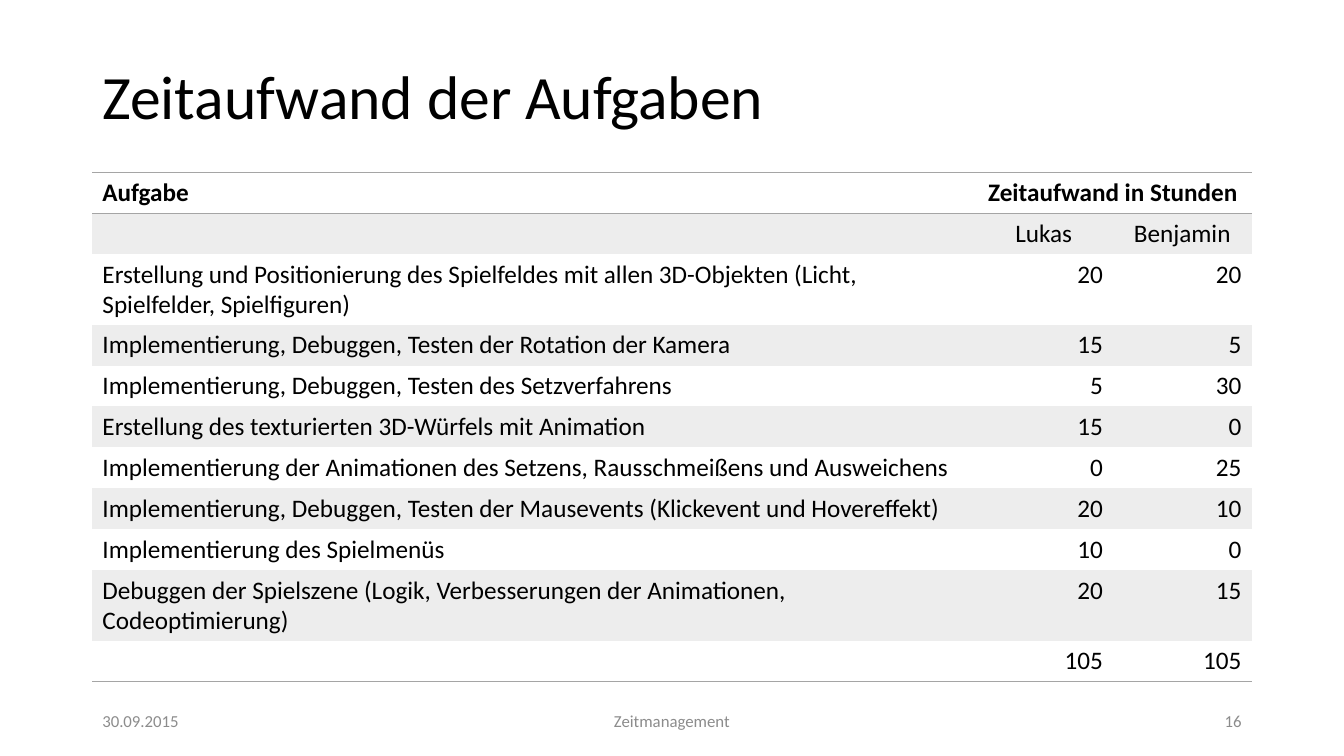
from lxml import etree
from pptx import Presentation
from pptx.dml.color import RGBColor
from pptx.enum.text import MSO_ANCHOR, PP_ALIGN
from pptx.oxml.ns import qn
from pptx.util import Pt

LEFT, CENTER, RIGHT = PP_ALIGN.LEFT, PP_ALIGN.CENTER, PP_ALIGN.RIGHT
MIDDLE = MSO_ANCHOR.MIDDLE

# Content
TITLE = "Zeitaufwand der Aufgaben"
HEADER = ("Aufgabe", "Zeitaufwand in Stunden", "")
PEOPLE = ("", "Lukas", "Benjamin")
TASKS = [
    ("Erstellung und Positionierung des Spielfeldes mit allen 3D-Objekten "
     "(Licht, Spielfelder, Spielfiguren)", 20, 20),
    ("Implementierung, Debuggen, Testen der Rotation der Kamera", 15, 5),
    ("Implementierung, Debuggen, Testen des Setzverfahrens", 5, 30),
    ("Erstellung des texturierten 3D-Würfels mit Animation", 15, 0),
    ("Implementierung der Animationen des Setzens, Rausschmeißens und Ausweichens", 0, 25),
    ("Implementierung, Debuggen, Testen der Mausevents (Klickevent und Hovereffekt)", 20, 10),
    ("Implementierung des Spielmenüs", 10, 0),
    ("Debuggen der Spielszene (Logik, Verbesserungen der Animationen, Codeoptimierung)", 20, 15),
]
TOTALS = ("", 105, 105)
# Footer text, left, width, alignment
FOOTER = [
    ("30.09.2015", 88, 288, LEFT),
    ("Zeitmanagement", 424, 432, CENTER),
    ("16", 904, 288, RIGHT),
]

# Style and layout in px
PX = 9525
SLIDE_W, SLIDE_H = 1280, 720
MARGIN, CONTENT_W = 88, 1104
TITLE_TOP, TITLE_H = 38, 114
TABLE_TOP, ROW_H = 164, 39
COLUMNS = (840, 132, 132)
FOOTER_TOP, FOOTER_H = 667, 38
FONT = "Calibri"
BLACK = RGBColor(0x00, 0x00, 0x00)
RULE = RGBColor(0xA5, 0xA5, 0xA5)
BAND = RGBColor(0xED, 0xED, 0xED)
FOOTER_GRAY = RGBColor(0x8C, 0x8C, 0x8C)
NO_STYLE_NO_GRID = "{2D5ABB26-0587-4C30-8999-92F81FD0307C}"


def write(frame, text, size, color, align, bold=False):
    paragraph = frame.paragraphs[0]
    paragraph.text = str(text)
    paragraph.alignment = align
    font = paragraph.font
    font.name, font.size, font.bold = FONT, Pt(size), bold
    font.color.rgb = color
    return paragraph


def add_text(slide, text, left, top, width, height, size, color, align):
    box = slide.shapes.add_textbox(left * PX, top * PX, width * PX, height * PX)
    frame = box.text_frame
    frame.word_wrap = True
    frame.vertical_anchor = MIDDLE
    return write(frame, text, size, color, align)


def add_rules(cell, sides):
    properties = cell._tc.get_or_add_tcPr()
    for position, side in enumerate(sides):
        line = etree.Element(qn(f"a:{side}"), w=str(Pt(1)))
        fill = etree.SubElement(line, qn("a:solidFill"))
        etree.SubElement(fill, qn("a:srgbClr"), val=str(RULE))
        properties.insert(position, line)


def add_task_table(slide):
    rows = [HEADER, PEOPLE, *TASKS, TOTALS]
    last = len(rows) - 1
    table = slide.shapes.add_table(
        len(rows), len(COLUMNS), MARGIN * PX, TABLE_TOP * PX,
        CONTENT_W * PX, len(rows) * ROW_H * PX).table
    table.first_row = table.horz_banding = False
    table._tbl.tblPr.find(qn("a:tableStyleId")).text = NO_STYLE_NO_GRID
    for column, width in zip(table.columns, COLUMNS):
        column.width = width * PX
    rules = {0: ("lnT", "lnB"), last: ("lnB",)}

    for r, row in enumerate(rows):
        table.rows[r].height = ROW_H * PX
        number_align = CENTER if r < 2 else RIGHT
        for c, value in enumerate(row):
            cell = table.cell(r, c)
            write(cell.text_frame, value, 18, BLACK,
                  number_align if c else LEFT, bold=r == 0)
            if r % 2:
                cell.fill.solid()
                cell.fill.fore_color.rgb = BAND
            else:
                cell.fill.background()
            add_rules(cell, rules.get(r, ()))
    table.cell(0, 1).merge(table.cell(0, 2))


def main():
    prs = Presentation()
    prs.slide_width, prs.slide_height = SLIDE_W * PX, SLIDE_H * PX
    slide = prs.slides.add_slide(prs.slide_layouts[6])

    # Title
    title = add_text(slide, TITLE, MARGIN, TITLE_TOP, CONTENT_W, TITLE_H,
                     44, BLACK, LEFT)
    title.line_spacing = 0.9

    # Hours per task
    add_task_table(slide)

    # Footer
    for text, left, width, align in FOOTER:
        add_text(slide, text, left, FOOTER_TOP, width, FOOTER_H,
                 12, FOOTER_GRAY, align)

    prs.save("out.pptx")


if __name__ == "__main__":
    main()
